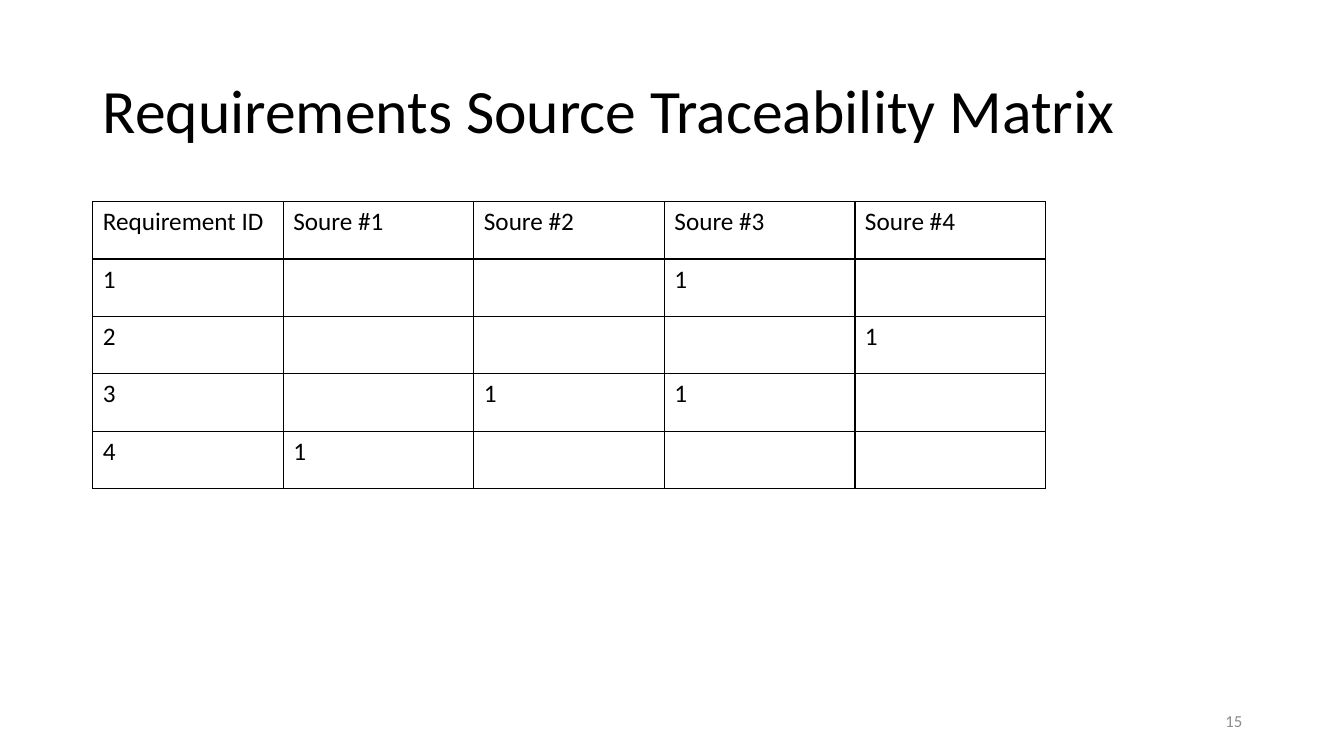
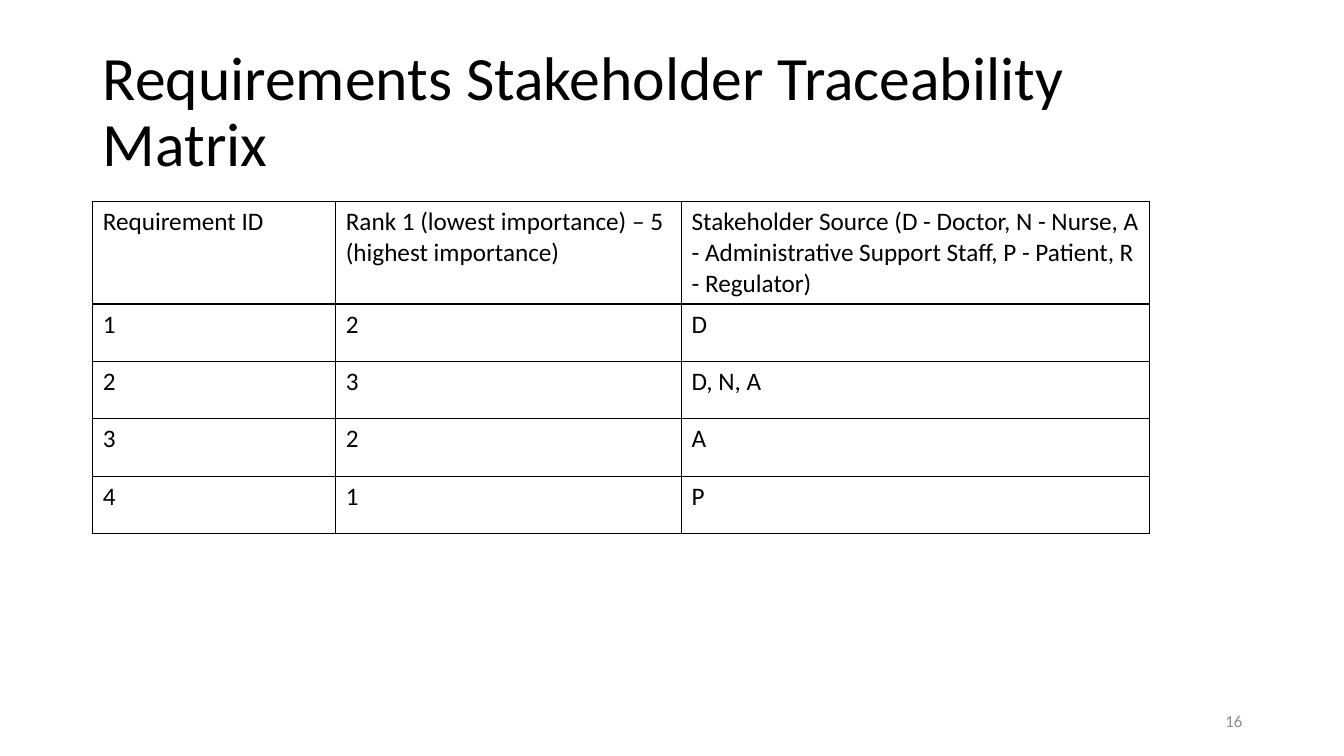
from dataclasses import dataclass

import lxml.etree
import pptx
import pptx.dml.color
import pptx.enum.text
import pptx.oxml.ns
import pptx.slide
import pptx.table
import pptx.text.text
import pptx.util

Inches = pptx.util.Inches
Pt = pptx.util.Pt

# Shared style
COLORS = {"text": "000000", "border": "000000", "number": "8C8C8C", "background": "FFFFFF"}
FONT = "Calibri"
LEFT = 0.92
TABLE_TOP = 2.0
ROW_HEIGHT = 0.57
TITLE_ONLY_LAYOUT = 5


@dataclass
class Matrix:
    title: str
    number: int
    column_widths: list[float]
    header_height: float
    rows: list[list[str]]


MATRICES = [
    Matrix(
        "Requirements Source Traceability Matrix", 15, [1.89] * 5, ROW_HEIGHT,
        [
            ["Requirement ID", "Soure #1", "Soure #2", "Soure #3", "Soure #4"],
            ["1", "", "", "1", ""],
            ["2", "", "", "", "1"],
            ["3", "", "1", "1", ""],
            ["4", "1", "", "", ""],
        ],
    ),
    Matrix(
        "Requirements Stakeholder Traceability Matrix", 16, [2.41, 3.43, 4.64], 1.01,
        [
            [
                "Requirement ID",
                "Rank 1 (lowest importance) – 5 (highest importance)",
                "Stakeholder Source (D - Doctor, N - Nurse, A - Administrative "
                "Support Staff, P - Patient, R - Regulator)",
            ],
            ["1", "2", "D"],
            ["2", "3", "D, N, A"],
            ["3", "2", "A"],
            ["4", "1", "P"],
        ],
    ),
]


def rgb(name: str) -> pptx.dml.color.RGBColor:
    return pptx.dml.color.RGBColor.from_string(COLORS[name])


def format_text(frame: pptx.text.text.TextFrame, size: float, color: str) -> None:
    for paragraph in frame.paragraphs:
        for run in paragraph.runs:
            run.font.name = FONT
            run.font.size = Pt(size)
            run.font.bold = False
            run.font.color.rgb = rgb(color)


def add_title(slide: pptx.slide.Slide, text: str) -> None:
    title = slide.shapes.title
    title.left, title.top = Inches(LEFT), Inches(0.4)
    title.width, title.height = Inches(11.4), Inches(1.45)
    frame = title.text_frame
    frame.text = text
    frame.word_wrap = True
    frame.auto_size = pptx.enum.text.MSO_AUTO_SIZE.NONE
    frame.vertical_anchor = pptx.enum.text.MSO_ANCHOR.MIDDLE
    frame.paragraphs[0].alignment = pptx.enum.text.PP_ALIGN.LEFT
    frame.paragraphs[0].line_spacing = 0.9
    format_text(frame, 44, "text")


def add_borders(cell: pptx.table._Cell) -> None:
    properties = cell._tc.get_or_add_tcPr()
    qn = pptx.oxml.ns.qn
    for side in ("a:lnL", "a:lnR", "a:lnT", "a:lnB"):
        line = lxml.etree.SubElement(properties, qn(side), w=str(Pt(1)))
        fill = lxml.etree.SubElement(line, qn("a:solidFill"))
        lxml.etree.SubElement(fill, qn("a:srgbClr"), val=COLORS["border"])


def add_matrix(slide: pptx.slide.Slide, matrix: Matrix) -> None:
    heights = [matrix.header_height] + [ROW_HEIGHT] * (len(matrix.rows) - 1)
    table = slide.shapes.add_table(
        len(matrix.rows), len(matrix.column_widths), Inches(LEFT), Inches(TABLE_TOP),
        Inches(sum(matrix.column_widths)), Inches(sum(heights)),
    ).table
    table.first_row = False
    table.horz_banding = False
    for column, width in zip(table.columns, matrix.column_widths):
        column.width = Inches(width)
    for row, height, texts in zip(table.rows, heights, matrix.rows):
        row.height = Inches(height)
        for cell, text in zip(row.cells, texts):
            add_borders(cell)
            cell.fill.background()
            cell.text_frame.text = text
            format_text(cell.text_frame, 18, "text")


def add_slide_number(slide: pptx.slide.Slide, number: int) -> None:
    box = slide.shapes.add_textbox(Inches(9.42), Inches(6.95), Inches(3), Inches(0.4))
    frame = box.text_frame
    frame.text = str(number)
    frame.word_wrap = True
    frame.vertical_anchor = pptx.enum.text.MSO_ANCHOR.MIDDLE
    frame.paragraphs[0].alignment = pptx.enum.text.PP_ALIGN.RIGHT
    format_text(frame, 12, "number")


def main() -> None:
    deck = pptx.Presentation()
    deck.slide_width, deck.slide_height = Inches(13.33), Inches(7.5)

    # Background shared by all slides
    background = deck.slide_master.background.fill
    background.solid()
    background.fore_color.rgb = rgb("background")

    # One slide per matrix
    for matrix in MATRICES:
        slide = deck.slides.add_slide(deck.slide_layouts[TITLE_ONLY_LAYOUT])
        add_title(slide, matrix.title)
        add_matrix(slide, matrix)
        add_slide_number(slide, matrix.number)

    deck.save("out.pptx")


if __name__ == "__main__":
    main()
